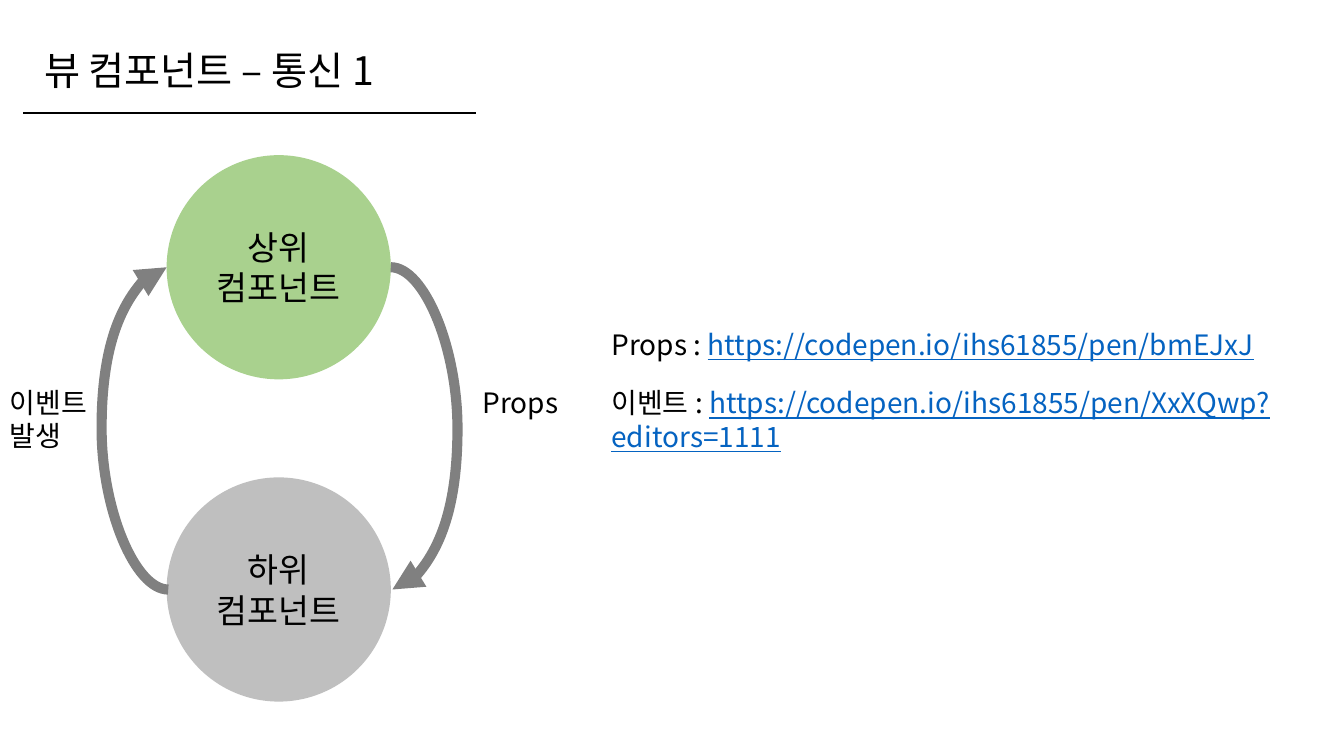
from lxml import etree
from pptx import Presentation
from pptx.dml.color import RGBColor
from pptx.enum import shapes, text
from pptx.oxml import ns
from pptx.util import Cm, Pt

FONT = "Noto Sans CJK KR"
BLACK, LINK = "000000", "0563C1"


def rgb(value):
    return RGBColor.from_string(value)


def write(frame, lines, size, wrap=False, align=text.PP_ALIGN.LEFT):
    """Fill a frame; each line is a list of (words, colour) runs."""
    frame.word_wrap = wrap
    for number, line in enumerate(lines):
        paragraph = frame.paragraphs[0] if number == 0 else frame.add_paragraph()
        paragraph.alignment = align
        for words, colour in line:
            run = paragraph.add_run()
            run.text = words
            run.font.size = Pt(size)
            run.font.name = FONT
            run.font.color.rgb = rgb(colour)
            if colour == LINK:
                run.font.underline = True
            east_asian = etree.SubElement(run.font._element, ns.qn("a:ea"))
            east_asian.set("typeface", FONT)


deck = Presentation()
deck.slide_width, deck.slide_height = Cm(33.87), Cm(19.05)
slide = deck.slides.add_slide(deck.slide_layouts[6])

# Rule under the title
rule = slide.shapes.add_connector(
    shapes.MSO_CONNECTOR.STRAIGHT, Cm(0.58), Cm(2.84), Cm(11.99), Cm(2.84))
rule.line.color.rgb = rgb(BLACK)
rule.line.width = Pt(1.5)
etree.SubElement(rule._element.spPr, ns.qn("a:effectLst"))

# Parent and child components
diameter = 5.65
circle_left, parent_top, child_top = 4.2, 3.91, 12.03
for top, role, fill in ((parent_top, "상위", "A9D18E"), (child_top, "하위", "BFBFBF")):
    component = slide.shapes.add_shape(
        shapes.MSO_SHAPE.OVAL, Cm(circle_left), Cm(top), Cm(diameter), Cm(diameter))
    component.shadow.inherit = False
    component.fill.solid()
    component.fill.fore_color.rgb = rgb(fill)
    component.line.fill.background()
    component.text_frame.vertical_anchor = text.MSO_ANCHOR.MIDDLE
    write(component.text_frame, [[(role, BLACK)], [("컴포넌트", BLACK)]], 24,
          align=text.PP_ALIGN.CENTER)

# Curved arrows: event goes up on the left, props go down on the right
span, bulge = 0.04, 1.68
parent_middle, child_middle = parent_top + diameter / 2, child_top + diameter / 2
for left, turn in ((circle_left, 180), (circle_left + diameter, 0)):
    arrow = slide.shapes.add_connector(
        shapes.MSO_CONNECTOR.CURVE, Cm(left), Cm(parent_middle),
        Cm(left + span), Cm(child_middle))
    arrow.line.color.rgb = rgb("808080")
    arrow.line.width = Pt(7.25)
    properties = arrow._element.spPr
    properties.find(ns.qn("a:xfrm")).set("rot", str(turn * 60000))
    guide = etree.SubElement(
        properties.find(ns.qn("a:prstGeom")).find(ns.qn("a:avLst")), ns.qn("a:gd"))
    guide.set("name", "adj1")
    guide.set("fmla", f"val {round(bulge / span * 100000)}")
    etree.SubElement(properties.find(ns.qn("a:ln")), ns.qn("a:tailEnd")).set("type", "triangle")
    etree.SubElement(properties, ns.qn("a:effectLst"))

# Title, arrow labels and example links
props_link = "https://codepen.io/ihs61855/pen/bmEJxJ"
event_link = "https://codepen.io/ihs61855/pen/XxXQwp?editors=1111"
for left, top, width, height, size, wrap, lines in (
    (0.86, 1.04, 9.65, 1.45, 28, False, [[("뷰 컴포넌트 – 통신 1", BLACK)]]),
    (11.91, 9.58, 2.64, 1.12, 20, False, [[("Props", BLACK)]]),
    (0, 9.58, 2.57, 1.96, 20, False, [[("이벤트", BLACK)], [("발생", BLACK)]]),
    (15.16, 8.13, 18.69, 1.12, 20, False, [[("Props : ", BLACK), (props_link, LINK)]]),
    (15.16, 9.6, 18.39, 2.82, 20, True, [[("이벤트 : ", BLACK), (event_link, LINK)]]),
):
    label = slide.shapes.add_textbox(Cm(left), Cm(top), Cm(width), Cm(height))
    label.text_frame.auto_size = text.MSO_AUTO_SIZE.SHAPE_TO_FIT_TEXT
    write(label.text_frame, lines, size, wrap)

deck.save("out.pptx")
